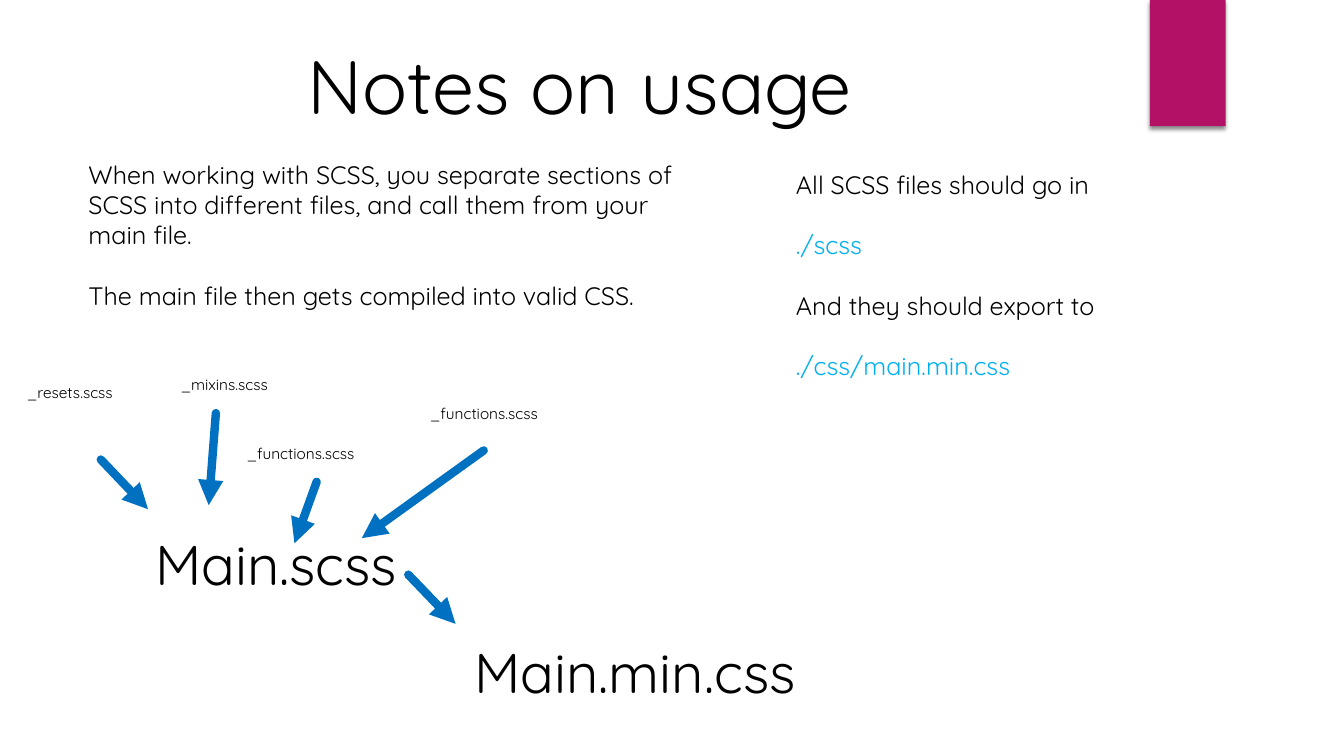
"""Build a slide on how SCSS files are organised and compiled."""
import pptx
import pptx.dml.color
import pptx.enum.shapes
import pptx.enum.text
import pptx.oxml
import pptx.oxml.ns
import pptx.util
from pptx.util import Cm

BLACK = pptx.dml.color.RGBColor(0x00, 0x00, 0x00)
SKY = pptx.dml.color.RGBColor(0x00, 0xB0, 0xF0)
BLUE = pptx.dml.color.RGBColor(0x00, 0x70, 0xC0)
MAGENTA = pptx.dml.color.RGBColor(0xB3, 0x11, 0x66)
FONT = "Quicksand"
LEFT = pptx.enum.text.PP_ALIGN.LEFT
CENTER = pptx.enum.text.PP_ALIGN.CENTER
NAMESPACE = pptx.oxml.ns.nsdecls("a")

PARTIALS = [
    ("_resets.scss", 0.28, 9.53, 2.97),
    ("_mixins.scss", 4.17, 9.32, 2.97),
    ("_functions.scss", 10.13, 10.06, 4.14),
    ("_functions.scss", 5.51, 11.07, 4.14),
]
OUTPUTS = [
    ("Main.scss", 2.97, 13.23, 7.98),
    ("Main.min.css", 10.29, 15.93, 11.43),
]
ARROWS = [
    (2.54, 11.58, 3.73, 12.83),
    (5.44, 10.41, 5.26, 12.73),
    (7.98, 12.14, 7.42, 13.69),
    (12.19, 11.35, 9.12, 13.56),
    (10.29, 14.48, 11.48, 15.72),
]


def add_text(page, left, top, width, height, lines, size, align=CENTER, wrap=True):
    """Add a text box holding one paragraph per (text, colour) pair."""
    box = page.shapes.add_textbox(Cm(left), Cm(top), Cm(width), Cm(height))
    frame = box.text_frame
    frame.text = "\n".join(text for text, colour in lines)
    frame.word_wrap = wrap
    frame.auto_size = pptx.enum.text.MSO_AUTO_SIZE.SHAPE_TO_FIT_TEXT
    for index, (para, (text, colour)) in enumerate(zip(frame.paragraphs, lines)):
        para.alignment = align
        if index:
            para.space_before = pptx.util.Pt(21.6)
        for span in para.runs:
            span.font.name = FONT
            span.font.size = pptx.util.Pt(size)
            span.font.color.rgb = colour


def add_arrow(page, start_x, start_y, end_x, end_y):
    """Add a thick round-capped arrow."""
    arrow = page.shapes.add_connector(
        pptx.enum.shapes.MSO_CONNECTOR.STRAIGHT,
        Cm(start_x), Cm(start_y), Cm(end_x), Cm(end_y))
    arrow.line.color.rgb = BLUE
    arrow.line.width = pptx.util.Pt(6)
    properties = arrow.element.spPr
    outline = properties.find(pptx.oxml.ns.qn("a:ln"))
    outline.set("cap", "rnd")
    outline.append(pptx.oxml.parse_xml(f'<a:tailEnd {NAMESPACE} type="triangle"/>'))
    properties.append(pptx.oxml.parse_xml(f"<a:effectLst {NAMESPACE}/>"))


def add_ribbon(page):
    """Add the shaded ribbon that hangs from the top edge."""
    ribbon = page.shapes.add_shape(
        pptx.enum.shapes.MSO_SHAPE.RECTANGLE, Cm(28.98), Cm(0), Cm(1.91), Cm(3.18))
    ribbon.fill.solid()
    ribbon.fill.fore_color.rgb = MAGENTA
    ribbon.line.fill.background()
    ribbon.element.spPr.append(pptx.oxml.parse_xml(
        f'<a:effectLst {NAMESPACE}><a:outerShdw blurRad="38100" dist="25400" '
        'dir="5400000" rotWithShape="0"><a:srgbClr val="000000">'
        '<a:alpha val="45000"/></a:srgbClr></a:outerShdw></a:effectLst>'))


def main():
    """Compose the slide and save it."""
    deck = pptx.Presentation()
    deck.slide_width, deck.slide_height = Cm(33.87), Cm(19.05)
    page = deck.slides.add_slide(deck.slide_layouts[6])
    add_ribbon(page)
    add_text(page, 7.04, 0.86, 15.14, 2.57, [("Notes on usage", BLACK)], 54, wrap=False)
    add_text(page, 19.81, 4.14, 12.07, 5.64, [
        ("All SCSS files should go in", BLACK),
        ("./scss", SKY),
        ("And they should export to", BLACK),
        ("./css/main.min.css", SKY),
    ], 18, LEFT)
    add_text(page, 1.98, 3.89, 15.77, 4.11, [
        ("When working with SCSS, you separate sections of SCSS into different files, "
         "and call them from your main file.", BLACK),
        ("The main file then gets compiled into valid CSS.", BLACK),
    ], 18, LEFT)
    for name, left, top, width in PARTIALS:
        add_text(page, left, top, width, 0.74, [(name, BLACK)], 11)
    for name, left, top, width in OUTPUTS:
        add_text(page, left, top, width, 1.96, [(name, BLACK)], 40)
    for ends in ARROWS:
        add_arrow(page, *ends)
    deck.save("out.pptx")


if __name__ == "__main__":
    main()
